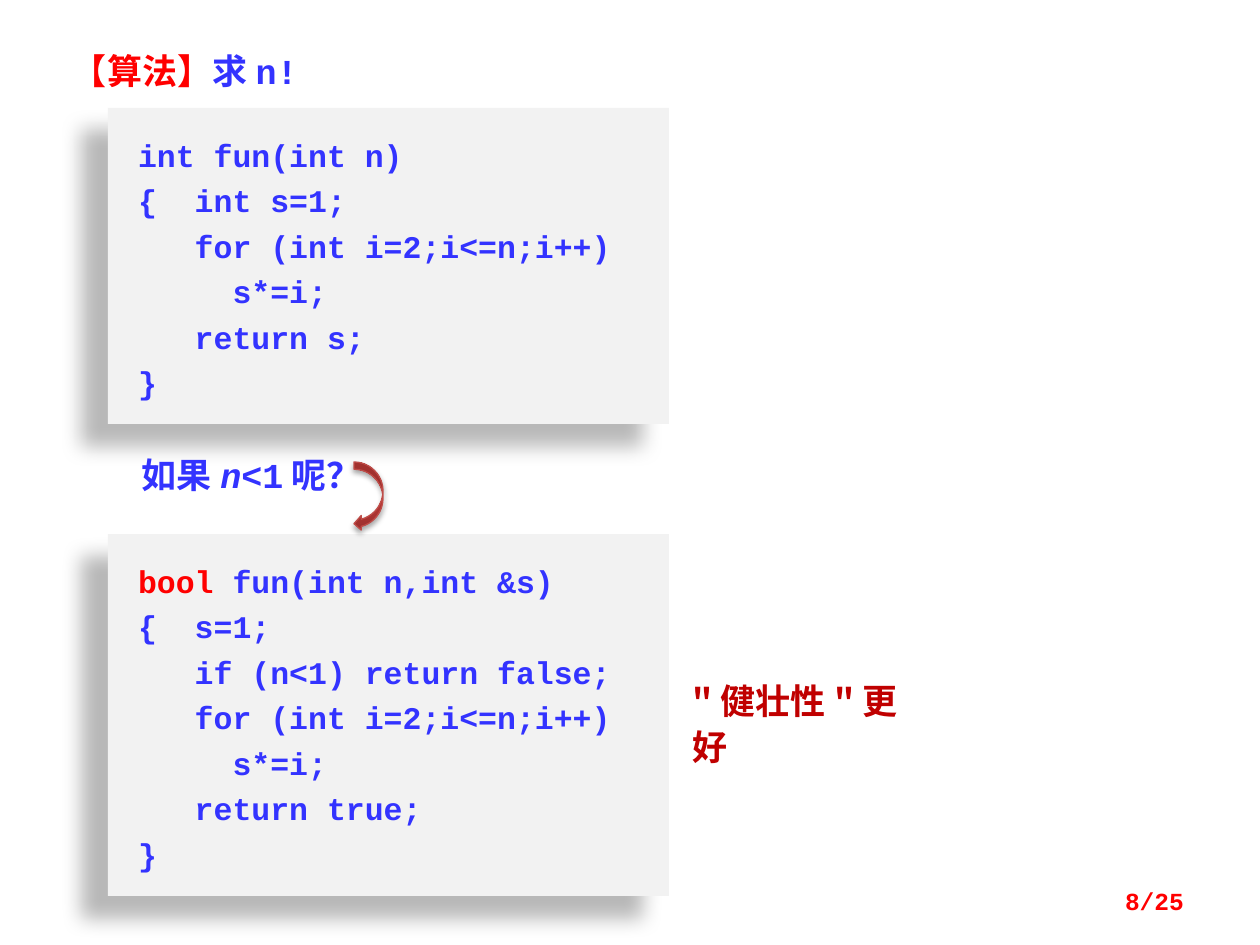
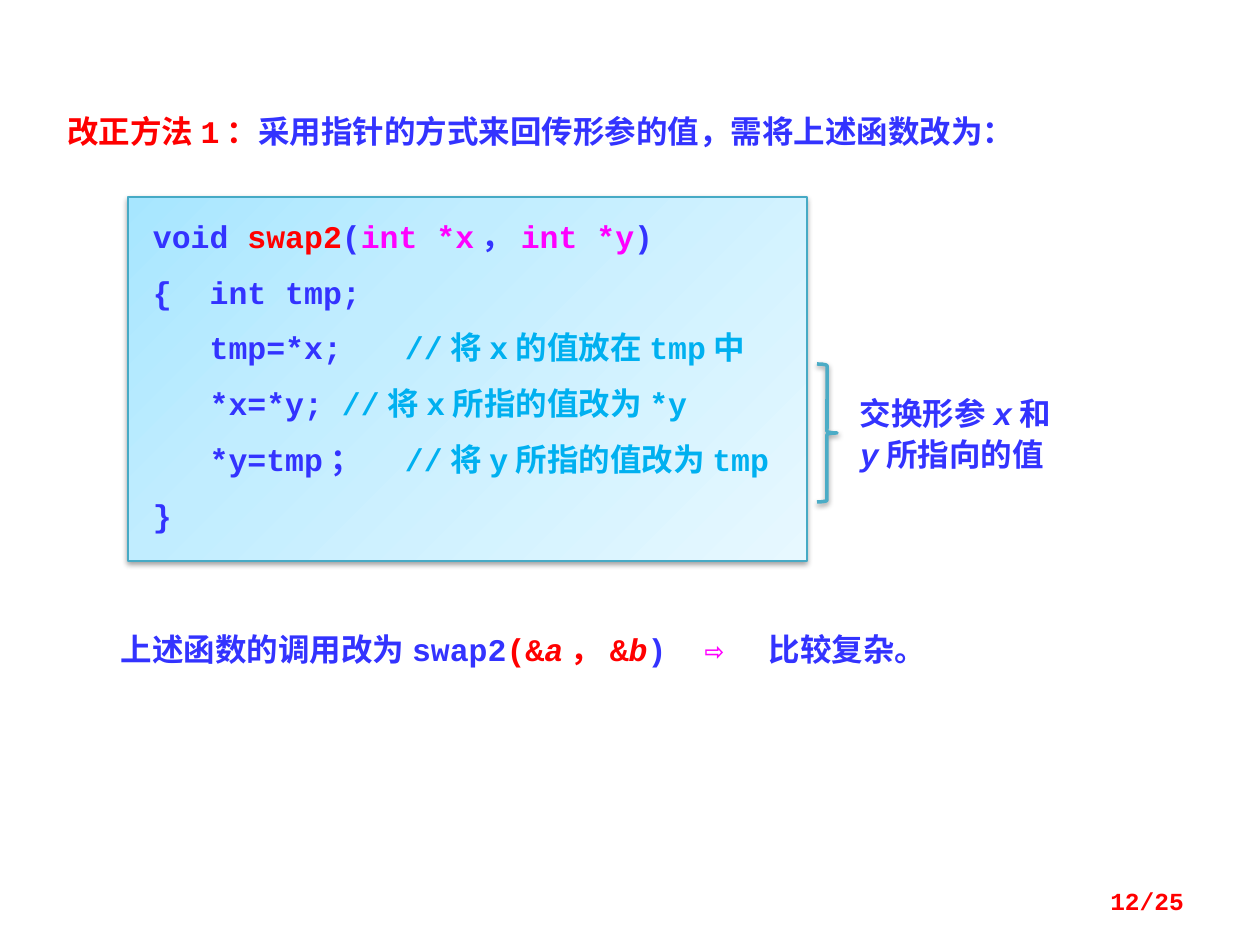
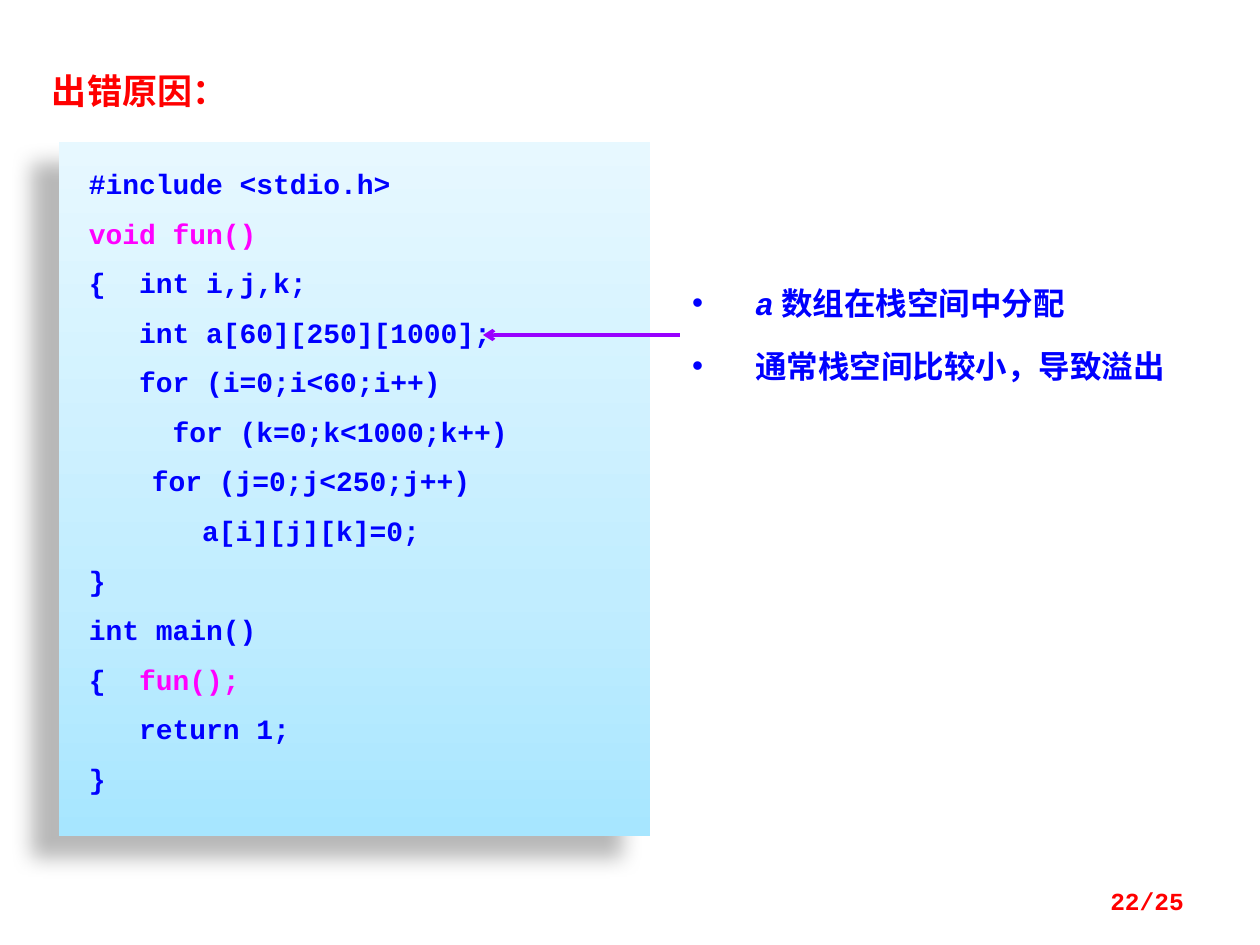
from lxml import etree
from pptx import Presentation
from pptx.dml.color import RGBColor
from pptx.enum.shapes import MSO_CONNECTOR, MSO_SHAPE
from pptx.enum.text import MSO_ANCHOR, MSO_AUTO_SIZE, PP_ALIGN
from pptx.oxml.ns import qn
from pptx.util import Emu, Pt

RECTANGLE = MSO_SHAPE.RECTANGLE
CURVED_ARROW = MSO_SHAPE.CURVED_LEFT_ARROW
BRACE = MSO_SHAPE.RIGHT_BRACE
STRAIGHT = MSO_CONNECTOR.STRAIGHT
TOP, MIDDLE = MSO_ANCHOR.TOP, MSO_ANCHOR.MIDDLE
LEFT, RIGHT = PP_ALIGN.LEFT, PP_ALIGN.RIGHT
GROW, FIXED = MSO_AUTO_SIZE.SHAPE_TO_FIT_TEXT, MSO_AUTO_SIZE.NONE

RED = RGBColor(0xFF, 0x00, 0x00)
DARK_RED = RGBColor(0xC0, 0x00, 0x00)
BLUE = RGBColor(0x33, 0x33, 0xFF)
PURE_BLUE = RGBColor(0x00, 0x00, 0xFF)
MAGENTA = RGBColor(0xFF, 0x00, 0xFF)
SKY = RGBColor(0x00, 0xB0, 0xF0)
PURPLE = RGBColor(0x99, 0x00, 0xFF)
WHITE = RGBColor(0xFF, 0xFF, 0xFF)
GREY = RGBColor(0xF2, 0xF2, 0xF2)
BLACK = RGBColor(0x00, 0x00, 0x00)
TEAL = RGBColor(0x46, 0xAA, 0xC5)
BRACE_TEAL = RGBColor(0x4B, 0xAC, 0xC6)
BRICK = RGBColor(0xBF, 0x4C, 0x48)
ICE = ((0, RGBColor(0xA7, 0xE6, 0xFF)), (35, RGBColor(0xC1, 0xED, 0xFF)),
       (100, RGBColor(0xE7, 0xF8, 0xFF)))
RUST = ((0, RGBColor(0x9C, 0x2F, 0x2D)), (80, RGBColor(0xCB, 0x3E, 0x3A)),
        (100, RGBColor(0xCE, 0x3B, 0x37)))

MONO, SANS = "Courier New", "Noto Sans CJK SC"
DEEP_SHADOW = (28, 11.8, 19.7, 141)
SOFT_SHADOW = (38, 3.1, 1.6, 90)
ARROW_SHADOW = (35, 3.1, 1.8, 90)
DEFAULT_INSETS = (13, 6, 13, 6)
GREY_INSETS = (30, 20, 13, 20)
PAGE_COUNT = 25
TITLE_AND_BODY, TITLE_ONLY = 1, 5


def px(length):
    return Emu(length * 914400 // 126)


def add_color(parent, color, opacity=100):
    node = etree.SubElement(parent, qn("a:srgbClr"), val=str(color))
    if opacity < 100:
        etree.SubElement(node, qn("a:alpha"), val=str(opacity * 1000))


class Deck:
    def __init__(self):
        self.deck = Presentation()
        self.deck.slide_width, self.deck.slide_height = px(1260), px(945)
        self.page = None

    def new_page(self, layout):
        self.page = self.deck.slides.add_slide(self.deck.slide_layouts[layout])

    def fill_text(self, box, paras, size=18, color=BLUE, font=MONO, line=1.1,
                  before=True, align=LEFT, anchor=TOP, insets=DEFAULT_INSETS, fit=GROW):
        frame = box.text_frame
        frame.word_wrap = True
        frame.auto_size = fit
        frame.vertical_anchor = anchor
        frame.margin_left, frame.margin_top, frame.margin_right, frame.margin_bottom = map(px, insets)
        for index, spans in enumerate(paras):
            para = frame.add_paragraph() if index else frame.paragraphs[0]
            para.alignment = align
            para.line_spacing = line
            para.space_before = Pt(size * 0.57 if before else 0)
            for item in [spans] if isinstance(spans, str) else spans:
                self.add_span(para, item, size, color, font)

    def add_span(self, para, item, size, color, font):
        text, span_color, italic = (item, color, False) if isinstance(item, str) else item
        span = para.add_run()
        span.text = text
        span.font.size = Pt(size)
        span.font.name = font
        span.font.bold = True
        span.font.italic = italic
        span.font.color.rgb = span_color
        latin = span._r.get_or_add_rPr().find(qn("a:latin"))
        latin.addnext(etree.Element(qn("a:ea"), typeface=SANS))

    def place(self, box, area):
        box.left, box.top, box.width, box.height = map(px, area)

    def title(self, area, spans, **style):
        box = self.page.shapes.title
        self.place(box, area)
        self.fill_text(box, [spans], **style)

    def bullets(self, area, paras, **style):
        box = self.page.placeholders[1]
        self.place(box, area)
        box.fill.solid()
        box.fill.fore_color.rgb = WHITE
        self.fill_text(box, paras, **style)
        for para in box.text_frame.paragraphs:
            properties = para._p.get_or_add_pPr()
            properties.set("marL", str(px(63)))
            properties.set("indent", str(-px(63)))

    def text(self, area, spans, **style):
        box = self.page.shapes.add_textbox(*map(px, area))
        self.fill_text(box, [spans], **style)

    def shape(self, kind, area, fill=None, angle=0, outline=None, weight=0.75, shadow=None):
        box = self.page.shapes.add_shape(kind, *map(px, area))
        if fill is None:
            box.fill.background()
        elif isinstance(fill, RGBColor):
            box.fill.solid()
            box.fill.fore_color.rgb = fill
        else:
            self.gradient(box, fill, angle)
        if outline is None:
            box.line.fill.background()
        else:
            box.line.color.rgb = outline
            box.line.width = Pt(weight)
        box.shadow.inherit = False
        if shadow:
            self.shade(box, *shadow)
        return box

    def gradient(self, box, stops, angle):
        box.fill.gradient()
        box.fill.gradient_angle = 360 - angle
        stop_list = box._element.spPr.find(".//" + qn("a:gsLst"))
        for stop in list(stop_list):
            stop_list.remove(stop)
        for position, color in stops:
            add_color(etree.SubElement(stop_list, qn("a:gs"), pos=str(position * 1000)), color)

    def shade(self, box, opacity, blur, distance, direction):
        effects = box._element.spPr.find(qn("a:effectLst"))
        outer = etree.SubElement(effects, qn("a:outerShdw"), blurRad=str(Pt(blur)),
                                 dist=str(Pt(distance)), dir=str(direction * 60000),
                                 algn="ctr", rotWithShape="0")
        add_color(outer, BLACK, opacity)

    def code(self, area, lines, fill, angle=0, outline=None, shadow=DEEP_SHADOW, **style):
        box = self.shape(RECTANGLE, area, fill, angle, outline, shadow=shadow)
        self.fill_text(box, lines, **style)

    def arrow(self, start, end, color):
        connector = self.page.shapes.add_connector(STRAIGHT, *map(px, start + end))
        connector.line.color.rgb = color
        connector.line.width = Pt(2)
        properties = connector._element.spPr
        etree.SubElement(properties.find(qn("a:ln")), qn("a:tailEnd"), type="arrow")
        etree.SubElement(properties, qn("a:effectLst"))

    def page_number(self, number):
        self.text((903, 876, 294, 50), f"{number}/{PAGE_COUNT}", size=14, color=RED,
                  line=1.0, before=False, align=RIGHT, anchor=MIDDLE, fit=FIXED)


def factorial_page(deck):
    deck.new_page(TITLE_ONLY)
    deck.title((59, 39, 325, 59), [("【算法】", RED, False), "求n!"], size=20)
    grey_code = dict(fill=GREY, insets=GREY_INSETS, line=Pt(26), before=False)
    deck.code((108, 108, 561, 316), [
        "int fun(int n)",
        "{  int s=1;",
        "   for (int i=2;i<=n;i++)",
        "     s*=i;",
        "   return s;",
        "}",
    ], **grey_code)
    deck.text((129, 443, 237, 59), ["如果", ("n", BLUE, True), "<1呢？"], size=20)
    deck.code((108, 534, 561, 362), [
        [("bool", RED, False), " fun(int n,int &s)"],
        "{  s=1;",
        "   if (n<1) return false;",
        "   for (int i=2;i<=n;i++)",
        "     s*=i;",
        "   return true;",
        "}",
    ], **grey_code)
    deck.shape(CURVED_ARROW, (354, 462, 29, 69), RUST, 270, BRICK, shadow=ARROW_SHADOW)
    deck.text((679, 669, 256, 59), '"健壮性"更好', size=20, color=DARK_RED, font=SANS)
    deck.page_number(8)


def pointer_page(deck):
    deck.new_page(TITLE_ONLY)
    deck.title((54, 88, 1134, 63), [
        ("改正方法1：", RED, False), "采用指针的方式来回传形参的值，需将上述函数改为："], line=Pt(32))
    deck.text((108, 620, 1053, 52), [
        "上述函数的调用改为swap2", ("(&", RED, False), ("a", RED, True), ("，&", RED, False),
        ("b", RED, True), ")  ", ("⇨  ", MAGENTA, False), "比较复杂。"])
    deck.code((128, 197, 679, 364), [
        ["void ", ("swap2", RED, False), "(", ("int *x", MAGENTA, False), "，",
         ("int *y", MAGENTA, False), ")"],
        "{  int tmp;",
        ["   tmp=*x;\t", ("//将x的值放在tmp中", SKY, False)],
        ["   *x=*y;\t", ("//将x所指的值改为*y", SKY, False)],
        ["   *y=tmp；\t", ("//将y所指的值改为tmp", SKY, False)],
        "}",
    ], ICE, 45, TEAL, SOFT_SHADOW, insets=(25, 20, 25, 20), line=1.0)
    deck.shape(BRACE, (817, 364, 20, 138), outline=BRACE_TEAL, weight=2, shadow=SOFT_SHADOW)
    deck.text((847, 384, 227, 93), [
        "交换形参", ("x", BLUE, True), "和", ("y", BLUE, True), "所指向的值"])
    deck.page_number(12)


def stack_page(deck):
    deck.new_page(TITLE_AND_BODY)
    deck.title((39, 59, 246, 57), "出错原因：", size=20, color=RED, font=SANS)
    deck.bullets((679, 270, 522, 123), [
        [("a", PURE_BLUE, True), "数组在栈空间中分配"],
        "通常栈空间比较小，导致溢出",
    ], color=PURE_BLUE, line=Pt(26))
    deck.code((59, 142, 591, 694), [
        "#include <stdio.h>",
        [("void fun()", MAGENTA, False)],
        "{  int i,j,k;",
        "   int a[60][250][1000];",
        "   for (i=0;i<60;i++)",
        "     for (k=0;k<1000;k++)",
        "\tfor (j=0;j<250;j++)",
        "\t   a[i][j][k]=0;",
        "}",
        "int main()",
        ["{  ", ("fun();", MAGENTA, False)],
        "   return 1;",
        "}",
    ], ICE, 270, size=16, color=PURE_BLUE, insets=(30, 25, 13, 25), line=1.0)
    deck.arrow((680, 335), (483, 335), PURPLE)
    deck.page_number(22)


def main():
    deck = Deck()
    factorial_page(deck)
    pointer_page(deck)
    stack_page(deck)
    deck.deck.save("out.pptx")


if __name__ == "__main__":
    main()
